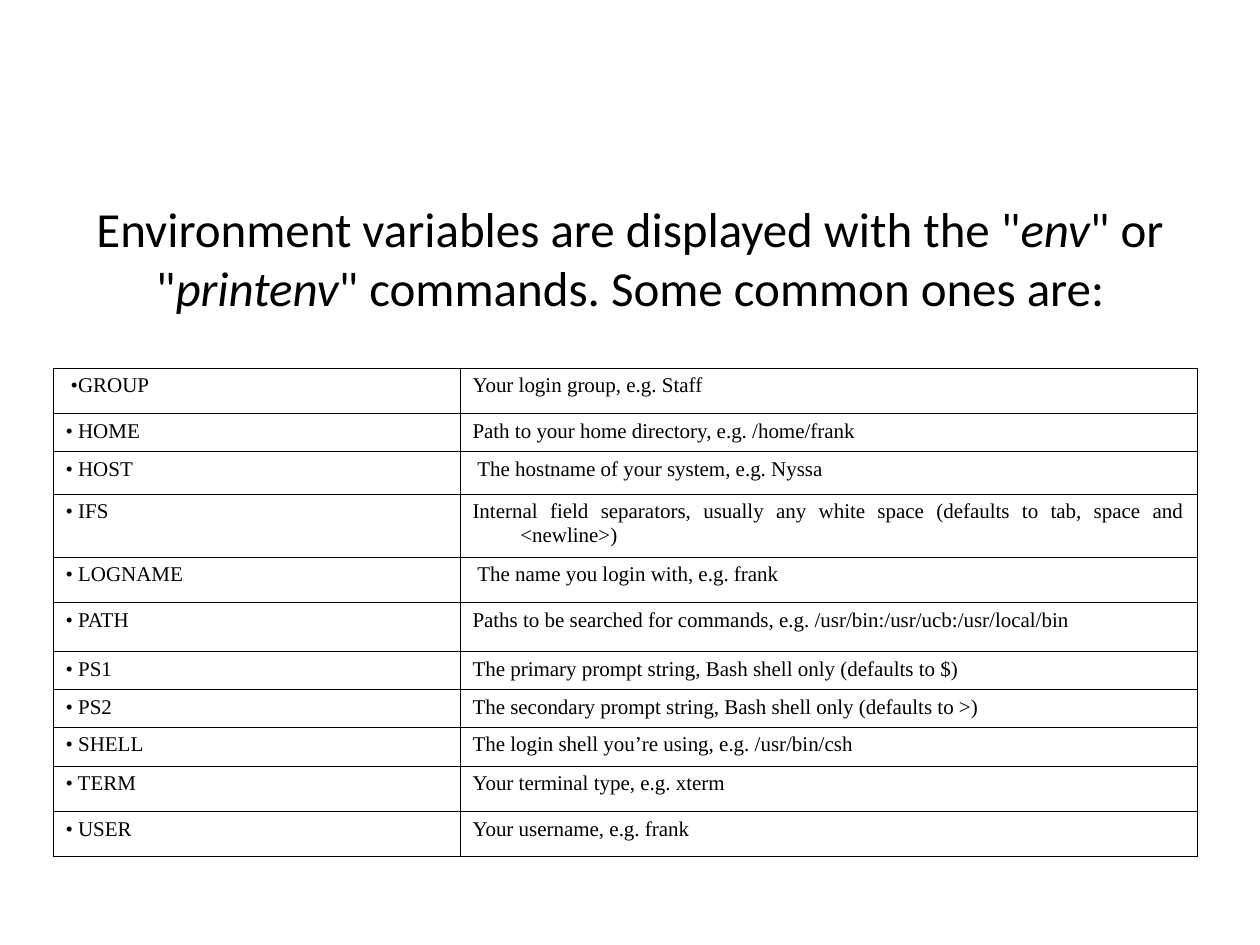
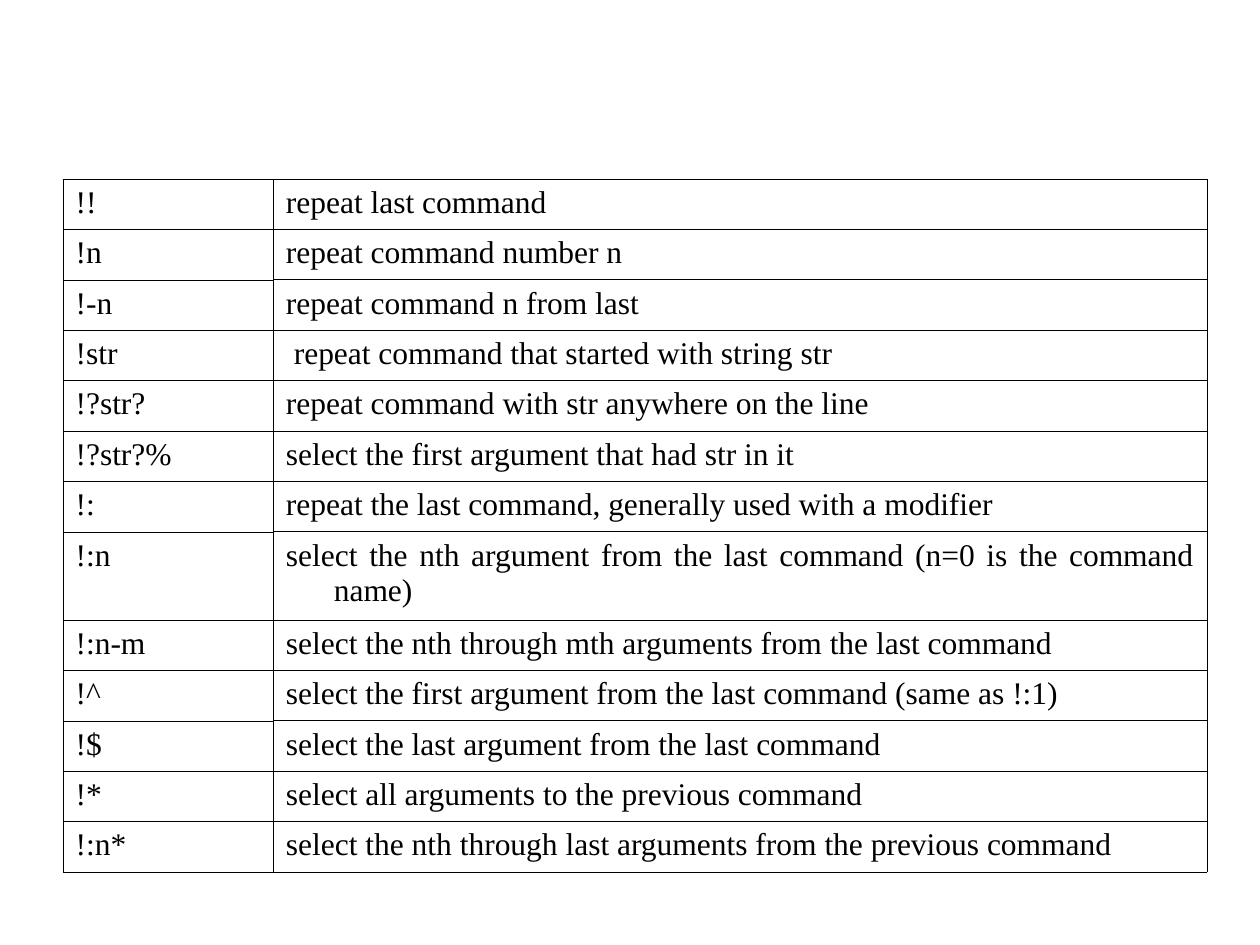
from dataclasses import dataclass

from lxml.etree import SubElement
from pptx import Presentation
from pptx.dml.color import RGBColor
from pptx.enum.text import MSO_ANCHOR, MSO_AUTO_SIZE, PP_ALIGN
from pptx.oxml.ns import qn
from pptx.util import Inches, Pt

COLORS = {"text": "000000", "border": "000000"}
TITLE_FONT = "Calibri"
TABLE_FONT = "Times New Roman"
HAIRLINE = 0.06
THIN_LINE = 0.45
HANGING_INDENT = 0.38
TITLE_ONLY_LAYOUT, BLANK_LAYOUT = 5, 6


@dataclass(frozen=True)
class Span:
    text: str
    italic: bool = False


@dataclass(frozen=True)
class Row:
    term: str
    meaning: str
    height: float = 0.4


@dataclass(frozen=True)
class ReferenceTable:
    left: float
    top: float
    column_widths: tuple[float, float]
    font_size: int
    outline: float  # border width in points
    meaning_rule: float  # width of the lines between meanings, in points
    rows: tuple[Row, ...]


ENVIRONMENT_TITLE = (
    Span('Environment variables are displayed with the "'),
    Span("env", italic=True),
    Span('" or "'),
    Span("printenv", italic=True),
    Span('" commands. Some common ones are:'),
)

ENVIRONMENT_VARIABLES = ReferenceTable(
    left=0.42, top=2.92, column_widths=(3.23, 5.85), font_size=12,
    outline=THIN_LINE, meaning_rule=THIN_LINE,
    rows=(
        Row(" •GROUP", "Your login group, e.g. Staff", 0.36),
        Row("• HOME", "Path to your home directory, e.g. /home/frank", 0.3),
        Row("• HOST", " The hostname of your system, e.g. Nyssa", 0.34),
        Row("• IFS", "Internal field separators, usually any white space "
            "(defaults to tab, space and <newline>)", 0.5),
        Row("• LOGNAME", " The name you login with, e.g. frank", 0.36),
        Row("• PATH", "Paths to be searched for commands, e.g. "
            "/usr/bin:/usr/ucb:/usr/local/bin", 0.39),
        Row("• PS1", "The primary prompt string, Bash shell only (defaults to $)", 0.3),
        Row("• PS2", "The secondary prompt string, Bash shell only (defaults to >)", 0.3),
        Row("• SHELL", "The login shell you’re using, e.g. /usr/bin/csh", 0.31),
        Row("• TERM", "Your terminal type, e.g. xterm", 0.36),
        Row("• USER", "Your username, e.g. frank", 0.36),
    ),
)

HISTORY_COMMANDS = ReferenceTable(
    left=0.5, top=1.42, column_widths=(1.67, 7.41), font_size=18,
    outline=HAIRLINE, meaning_rule=THIN_LINE,
    rows=(
        Row("!!", "repeat last command"),
        Row("!n", "repeat command number n"),
        Row("!-n", "repeat command n from last"),
        Row("!str", " repeat command that started with string str"),
        Row("!?str?", "repeat command with str anywhere on the line"),
        Row("!?str?%", "select the first argument that had str in it"),
        Row("!:", "repeat the last command, generally used with a modifier"),
        Row("!:n", "select the nth argument from the last command "
            "(n=0 is the command name)", 0.7),
        Row("!:n-m", "select the nth through mth arguments from the last command"),
        Row("!^", "select the first argument from the last command (same as !:1)"),
        Row("!$", "select the last argument from the last command"),
        Row("!*", "select all arguments to the previous command"),
        Row("!:n*", "select the nth through last arguments from the previous command"),
    ),
)


def format_font(font, name: str, size: int) -> None:
    font.name = name
    font.size = Pt(size)
    font.color.rgb = RGBColor.from_string(COLORS["text"])


def add_title(slide, spans: tuple[Span, ...]) -> None:
    title = slide.shapes.title
    title.left, title.top = Inches(0.5), Inches(1.42)
    title.width, title.height = Inches(9), Inches(1.25)
    frame = title.text_frame
    frame.auto_size = MSO_AUTO_SIZE.NONE
    frame.vertical_anchor = MSO_ANCHOR.MIDDLE
    para = frame.paragraphs[0]
    para.alignment = PP_ALIGN.CENTER
    for span in spans:
        run = para.add_run()
        run.text = span.text
        format_font(run.font, TITLE_FONT, 28)
        run.font.italic = span.italic


def set_borders(cell, left: float, right: float, top: float, bottom: float) -> None:
    """Draw the four cell borders, with widths in points."""
    properties = cell._tc.get_or_add_tcPr()
    for side, width in (("L", left), ("R", right), ("T", top), ("B", bottom)):
        line = SubElement(properties, qn(f"a:ln{side}"), w=str(Pt(width)))
        fill = SubElement(line, qn("a:solidFill"))
        SubElement(fill, qn("a:srgbClr"), val=COLORS["border"])


def fill_cell(cell, text: str, font_size: int) -> None:
    cell.fill.background()
    cell.text_frame.text = text
    para = cell.text_frame.paragraphs[0]
    para.alignment = PP_ALIGN.JUSTIFY
    indent = Inches(HANGING_INDENT)
    properties = para._p.get_or_add_pPr()
    properties.set("marL", str(indent))
    properties.set("indent", str(-indent))
    format_font(para.runs[0].font, TABLE_FONT, font_size)


def add_reference_table(slide, reference: ReferenceTable) -> None:
    rows = reference.rows
    table = slide.shapes.add_table(
        len(rows), len(reference.column_widths),
        Inches(reference.left), Inches(reference.top),
        Inches(sum(reference.column_widths)),
        Inches(sum(row.height for row in rows)),
    ).table
    table.first_row = False
    table.horz_banding = False
    for column, width in zip(table.columns, reference.column_widths):
        column.width = Inches(width)

    outline = reference.outline
    last = len(rows) - 1
    for index, row in enumerate(rows):
        table.rows[index].height = Inches(row.height)
        columns = ((row.term, outline), (row.meaning, reference.meaning_rule))
        for column_index, (text, rule) in enumerate(columns):
            cell = table.cell(index, column_index)
            set_borders(
                cell, left=outline, right=outline,
                top=outline if index == 0 else rule,
                bottom=outline if index == last else rule,
            )
            fill_cell(cell, text, reference.font_size)


def main() -> None:
    deck = Presentation()
    deck.slide_width, deck.slide_height = Inches(10), Inches(7.5)

    environment_slide = deck.slides.add_slide(deck.slide_layouts[TITLE_ONLY_LAYOUT])
    add_title(environment_slide, ENVIRONMENT_TITLE)
    add_reference_table(environment_slide, ENVIRONMENT_VARIABLES)

    history_slide = deck.slides.add_slide(deck.slide_layouts[BLANK_LAYOUT])
    add_reference_table(history_slide, HISTORY_COMMANDS)

    deck.save("out.pptx")


if __name__ == "__main__":
    main()
